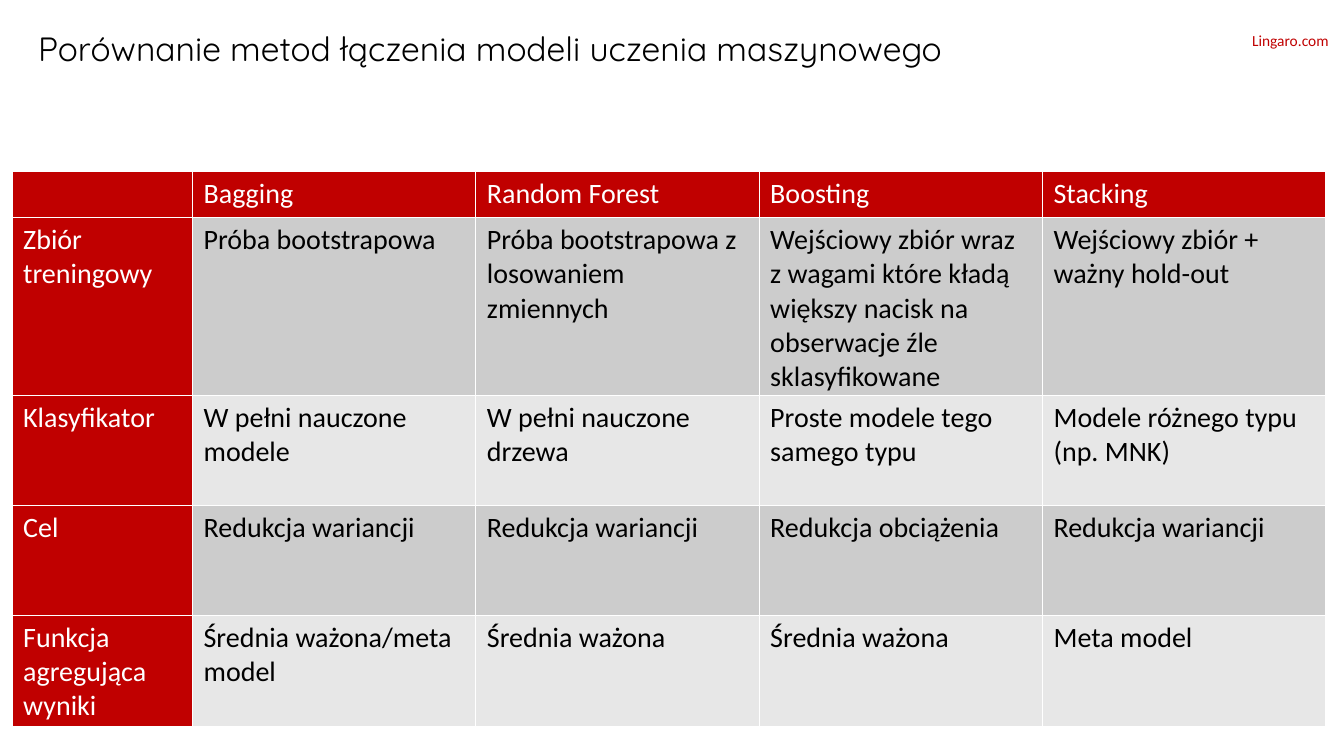
from lxml import etree
from pptx import Presentation
from pptx.dml.color import RGBColor
from pptx.enum.text import MSO_ANCHOR
from pptx.oxml.ns import qn
from pptx.util import Inches, Pt

MIDDLE, TOP = MSO_ANCHOR.MIDDLE, MSO_ANCHOR.TOP
RED, WHITE, BLACK = "C00000", "FFFFFF", "000000"
BANDS = ["CCCCCC", "E7E7E7"]


def rgb(code):
    return RGBColor.from_string(code)


def write(paragraph, text, size, font, color):
    run = paragraph.add_run()
    run.text = text
    run.font.size = Pt(size)
    run.font.name = font
    run.font.color.rgb = rgb(color)


deck = Presentation()
deck.slide_width, deck.slide_height = Inches(13.33), Inches(7.5)
slide = deck.slides.add_slide(deck.slide_layouts[6])

# Site address and heading
headings = [
    ("Lingaro.com", (12.32, 0.26, 1.01, 0.29), TOP, 1, (11, "Calibri", RED)),
    ("Porównanie metod łączenia modeli uczenia maszynowego",
     (0.28, 0.28, 11.93, 0.45), MIDDLE, 0.9, (24, "Quicksand", BLACK)),
]
for text, place, anchor, spacing, style in headings:
    frame = slide.shapes.add_textbox(*map(Inches, place)).text_frame
    frame.word_wrap = True
    frame.vertical_anchor = anchor
    frame.paragraphs[0].line_spacing = spacing
    write(frame.paragraphs[0], text, *style)

# Comparison of the methods
comparison = [
    ["", "Bagging", "Random Forest", "Boosting", "Stacking"],
    ["Zbiór treningowy", "Próba bootstrapowa",
     "Próba bootstrapowa z losowaniem zmiennych",
     "Wejściowy zbiór wraz z wagami które kładą większy nacisk na "
     "obserwacje źle sklasyfikowane",
     "Wejściowy zbiór + ważny hold-out"],
    ["Klasyfikator", "W pełni nauczone modele", "W pełni nauczone drzewa",
     "Proste modele tego samego typu", "Modele różnego typu (np. MNK)"],
    ["Cel", "Redukcja wariancji", "Redukcja wariancji",
     "Redukcja obciążenia", "Redukcja wariancji"],
    ["Funkcja agregująca wyniki", "Średnia ważona/meta model",
     "Średnia ważona", "Średnia ważona", "Meta model"],
]
column_widths = [1.79] + [2.81] * 4
row_heights = [0.46, 1.74] + [1.09] * 3
methods = slide.shapes.add_table(
    len(row_heights), len(column_widths), Inches(0.12), Inches(1.7),
    Inches(sum(column_widths)), Inches(sum(row_heights))).table
for column, width in zip(methods.columns, column_widths):
    column.width = Inches(width)
for row, height in zip(methods.rows, row_heights):
    row.height = Inches(height)

cell_insets = {"margin_left": 0.11, "margin_right": 0.11,
               "margin_top": 0.05, "margin_bottom": 0.05}
for r, entries in enumerate(comparison):
    for c, entry in enumerate(entries):
        cell = methods.cell(r, c)
        is_label = r == 0 or c == 0
        for side, inset in cell_insets.items():
            setattr(cell, side, Inches(inset))

        # White grid lines precede the fill in the cell properties
        properties = cell._tc.get_or_add_tcPr()
        for edge in ("a:lnL", "a:lnR", "a:lnT", "a:lnB"):
            line = etree.SubElement(properties, qn(edge), w=str(Pt(1)))
            line_fill = etree.SubElement(line, qn("a:solidFill"))
            etree.SubElement(line_fill, qn("a:srgbClr"), val=WHITE)
        cell.fill.solid()
        cell.fill.fore_color.rgb = rgb(RED if is_label else BANDS[(r - 1) % 2])

        if entry:
            write(cell.text_frame.paragraphs[0], entry, 20, "Calibri",
                  WHITE if is_label else BLACK)

deck.save("out.pptx")
